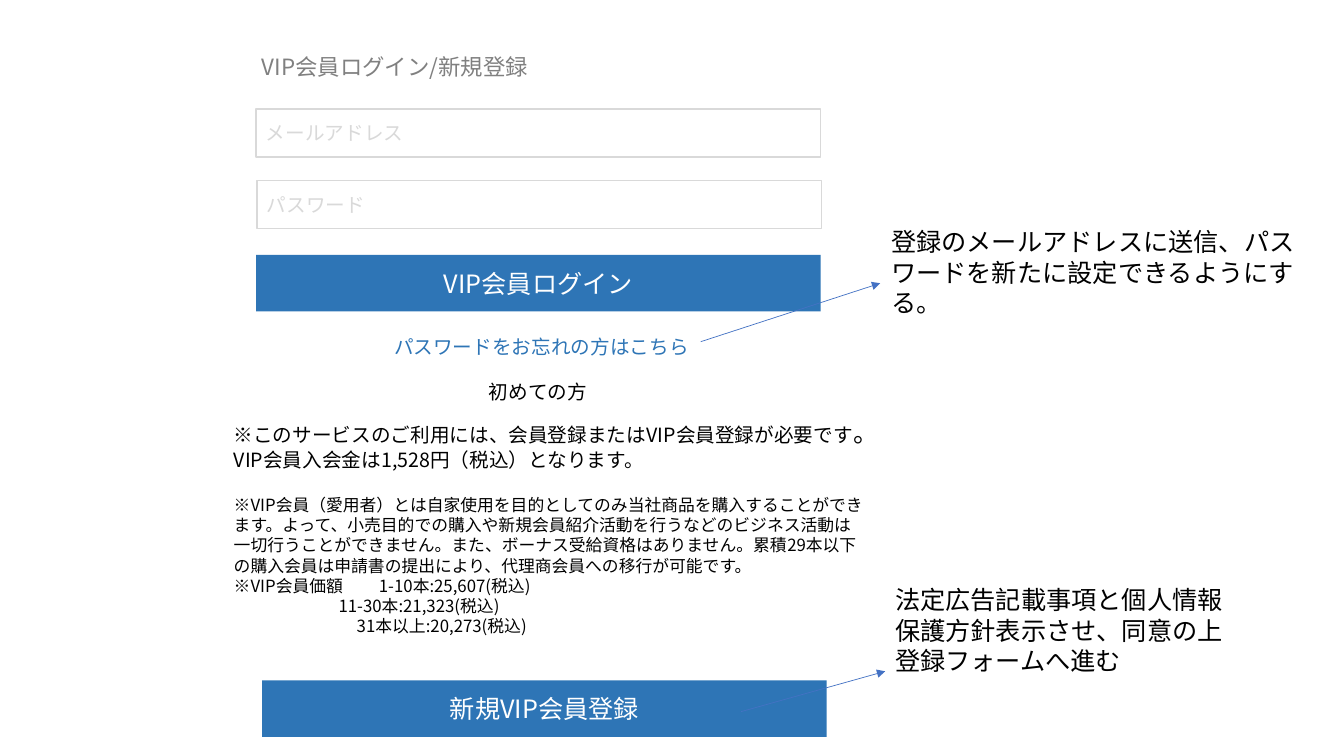
from dataclasses import dataclass

from lxml.etree import SubElement
from pptx import Presentation
from pptx.dml.color import RGBColor
from pptx.enum.shapes import MSO_CONNECTOR as Connector, MSO_SHAPE as Shape
from pptx.enum.text import MSO_ANCHOR as Anchor, PP_ALIGN as Align
from pptx.oxml.ns import qn
from pptx.util import Emu, Pt

PX = 9144
FONT = "Noto Sans CJK JP"
BLACK, WHITE, GRAY, PALE = "000000", "FFFFFF", "808080", "D9D9D9"
BLUE, ARROW_BLUE = "2E75B6", "4472C4"


@dataclass
class Label:
    left: int
    top: int
    width: int
    height: int
    text: str
    size: int
    color: str = BLACK


@dataclass
class Box:
    left: int
    top: int
    height: int
    text: str
    size: int
    color: str
    fill: str
    border: str | None
    align: Align


@dataclass
class Line:
    text: str
    size: int
    indent: int = 0
    space_before: int = 0
    tab: int = 0
    ending: str = ""
    ending_size: int = 0


@dataclass
class Arrow:
    start: tuple[int, int]
    end: tuple[int, int]


def px(length: int) -> Emu:
    return Emu(length * PX)


def rgb(color: str) -> RGBColor:
    return RGBColor.from_string(color)


def style(paragraph, size: int, color: str) -> None:
    font = paragraph.font
    font.size = Pt(size)
    font.name = FONT
    font.color.rgb = rgb(color)
    defaults = paragraph._p.pPr.find(qn("a:defRPr"))
    SubElement(defaults, qn("a:ea"), typeface=FONT)


def add_frame(slide, left: int, top: int, width: int, height: int):
    textbox = slide.shapes.add_textbox(px(left), px(top), px(width), px(height))
    textbox.text_frame.word_wrap = True
    return textbox.text_frame


def add_label(slide, label: Label) -> None:
    frame = add_frame(slide, label.left, label.top, label.width, label.height)
    frame.text = label.text
    style(frame.paragraphs[0], label.size, label.color)


def add_box(slide, box: Box) -> None:
    shape = slide.shapes.add_shape(
        Shape.RECTANGLE, px(box.left), px(box.top), px(BOX_WIDTH), px(box.height))
    shape.shadow.inherit = False
    shape.fill.solid()
    shape.fill.fore_color.rgb = rgb(box.fill)
    if box.border:
        shape.line.color.rgb = rgb(box.border)
        shape.line.width = Pt(1)
    else:
        shape.line.fill.background()
    frame = shape.text_frame
    frame.vertical_anchor = Anchor.MIDDLE
    frame.text = box.text
    frame.paragraphs[0].alignment = box.align
    style(frame.paragraphs[0], box.size, box.color)


def add_terms(slide, lines: list[Line]) -> None:
    frame = add_frame(slide, 222, 409, 646, 249)
    for index, line in enumerate(lines):
        paragraph = frame.add_paragraph() if index else frame.paragraphs[0]
        paragraph.add_run().text = line.text
        if line.ending:
            ending = paragraph.add_run()
            ending.text = line.ending
            ending.font.size = Pt(line.ending_size)
        paragraph.space_before = Pt(line.space_before)
        properties = paragraph._p.get_or_add_pPr()
        properties.set("marL", str(px(line.indent)))
        if line.tab:
            stops = SubElement(properties, qn("a:tabLst"))
            SubElement(stops, qn("a:tab"), pos=str(px(line.tab)), algn="l")
        style(paragraph, line.size, BLACK)


def add_arrow(slide, arrow: Arrow) -> None:
    connector = slide.shapes.add_connector(
        Connector.STRAIGHT, *map(px, arrow.start + arrow.end))
    connector.line.color.rgb = rgb(ARROW_BLUE)
    connector.line.width = Pt(0.5)
    SubElement(connector.line._get_or_add_ln(), qn("a:tailEnd"), type="triangle")
    SubElement(connector._element.spPr, qn("a:effectLst"))


BOX_WIDTH = 560

BOXES = [
    Box(254, 108, 48, "メールアドレス", 14, PALE, WHITE, PALE, Align.LEFT),
    Box(255, 179, 48, "パスワード", 14, PALE, WHITE, PALE, Align.LEFT),
    Box(254, 253, 56, "VIP会員ログイン", 18, WHITE, BLUE, None, Align.CENTER),
    Box(260, 675, 56, "新規VIP会員登録", 18, WHITE, BLUE, None, Align.CENTER),
]

LABELS = [
    Label(250, 48, 371, 37, "VIP会員ログイン/新規登録", 16, GRAY),
    Label(381, 327, 401, 34, "パスワードをお忘れの方はこちら", 14, BLUE),
    Label(475, 372, 128, 34, "初めての方", 14),
    Label(874, 220, 441, 101,
          "登録のメールアドレスに送信、パスワードを新たに設定できるようにする。", 18),
    Label(878, 575, 350, 101,
          "法定広告記載事項と個人情報保護方針表示させ、同意の上登録フォームへ進む", 18),
]

TERMS = [
    Line("※このサービスのご利用には、会員登録またはVIP会員登録が必要です", 14,
         ending="。", ending_size=18),
    Line("VIP会員入会金は1,528円（税込）となります。", 14),
    Line("※VIP会員（愛用者）とは自家使用を目的としてのみ当社商品を購入することができます。"
         "よって、小売目的での購入や新規会員紹介活動を行うなどのビジネス活動は一切行うことができません。"
         "また、ボーナス受給資格はありません。"
         "累積29本以下の購入会員は申請書の提出により、代理商会員への移行が可能です。",
         12, space_before=17),
    Line("※VIP会員価額\t1-10本:25,607(税込)", 12, tab=144),
    Line("11-30本:21,323(税込)", 12, indent=104),
    Line("31本以上:20,273(税込)", 12, indent=122),
]

ARROWS = [
    Arrow((695, 339), (873, 281)),
    Arrow((735, 706), (878, 666)),
]


def main() -> None:
    presentation = Presentation()
    presentation.slide_width = px(1333)
    presentation.slide_height = px(750)
    slide = presentation.slides.add_slide(presentation.slide_layouts[6])
    for box in BOXES:
        add_box(slide, box)
    for label in LABELS:
        add_label(slide, label)
    add_terms(slide, TERMS)
    for arrow in ARROWS:
        add_arrow(slide, arrow)
    presentation.save("out.pptx")


if __name__ == "__main__":
    main()
